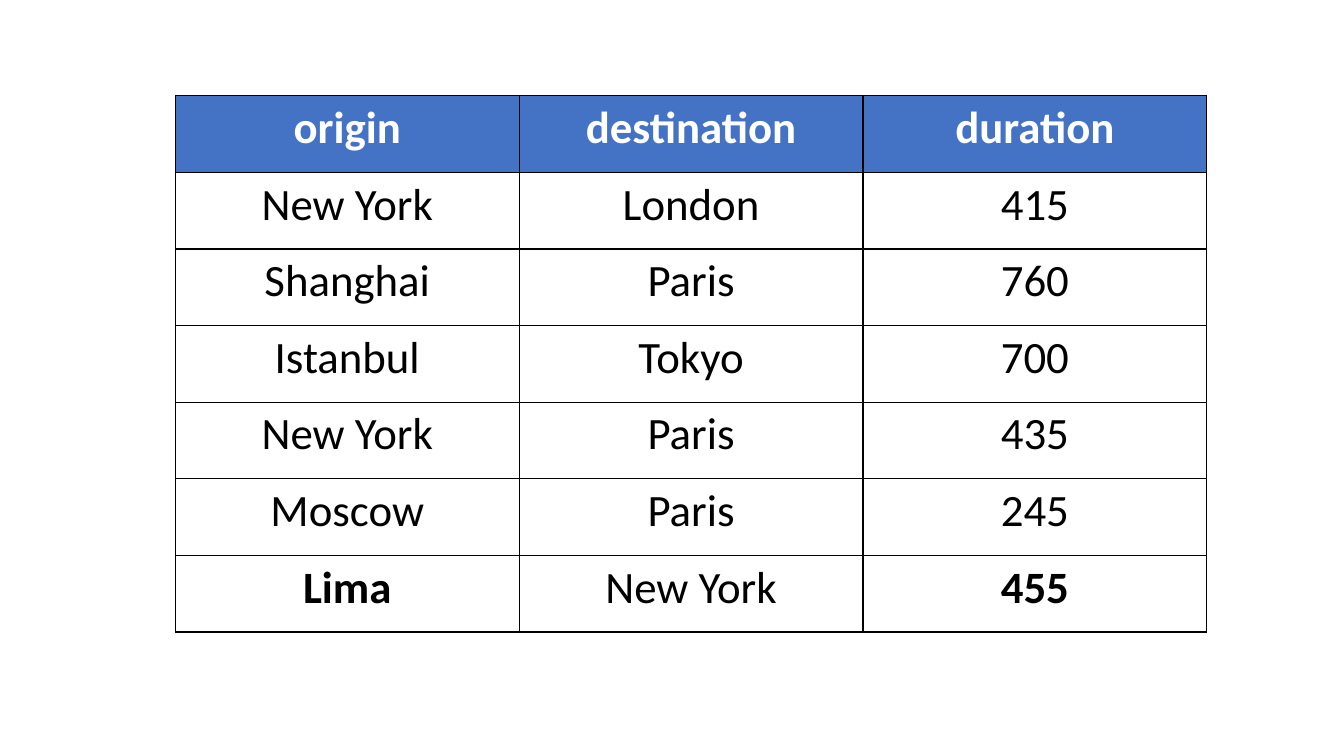
"""Build a slide with a table of flight durations."""
from lxml import etree
from pptx import Presentation
from pptx.dml.color import RGBColor
from pptx.enum.text import PP_ALIGN
from pptx.oxml.ns import qn
from pptx.util import Inches, Pt

CENTER = PP_ALIGN.CENTER
FLIGHTS = [
    ("origin", "destination", "duration"),
    ("New York", "London", "415"),
    ("Shanghai", "Paris", "760"),
    ("Istanbul", "Tokyo", "700"),
    ("New York", "Paris", "435"),
    ("Moscow", "Paris", "245"),
    ("Lima", "New York", "455"),
]
BOLD_CELLS = {(0, 0), (0, 1), (0, 2), (6, 0), (6, 2)}
BLUE, WHITE, BLACK = "4472C4", "FFFFFF", "000000"
LEFT, TOP = 1.74, 0.95
COLUMN_WIDTH, ROW_HEIGHT = 3.41, 0.76


def paint(target, color):
    """Give a fill a solid colour."""
    target.solid()
    target.fore_color.rgb = RGBColor.from_string(color)


def add_borders(cell):
    """Draw a thin black line on all four sides of a cell."""
    properties = cell._tc.get_or_add_tcPr()
    for side in ("lnL", "lnR", "lnT", "lnB"):
        line = etree.SubElement(properties, qn(f"a:{side}"), w=str(Pt(1)))
        solid = etree.SubElement(line, qn("a:solidFill"))
        etree.SubElement(solid, qn("a:srgbClr"), val=BLACK)


def format_cell(cell, text, header, bold):
    """Fill one cell with centred text, borders and background."""
    add_borders(cell)
    paint(cell.fill, BLUE if header else WHITE)
    cell.text_frame.text = text
    para = cell.text_frame.paragraphs[0]
    para.alignment = CENTER
    font = para.runs[0].font
    font.name, font.size, font.bold = "Calibri", Pt(32), bold
    paint(font.fill, WHITE if header else BLACK)


def main():
    """Create the deck and save it."""
    deck = Presentation()
    deck.slide_width, deck.slide_height = Inches(13.33), Inches(7.5)
    page = deck.slides.add_slide(deck.slide_layouts[6])
    row_count, column_count = len(FLIGHTS), len(FLIGHTS[0])
    table = page.shapes.add_table(
        row_count, column_count, Inches(LEFT), Inches(TOP),
        Inches(COLUMN_WIDTH * column_count), Inches(ROW_HEIGHT * row_count),
    ).table
    table.horz_banding = False
    for row, flight in enumerate(FLIGHTS):
        for column, text in enumerate(flight):
            format_cell(table.cell(row, column), text, row == 0,
                        (row, column) in BOLD_CELLS)
    deck.save("out.pptx")


if __name__ == "__main__":
    main()
